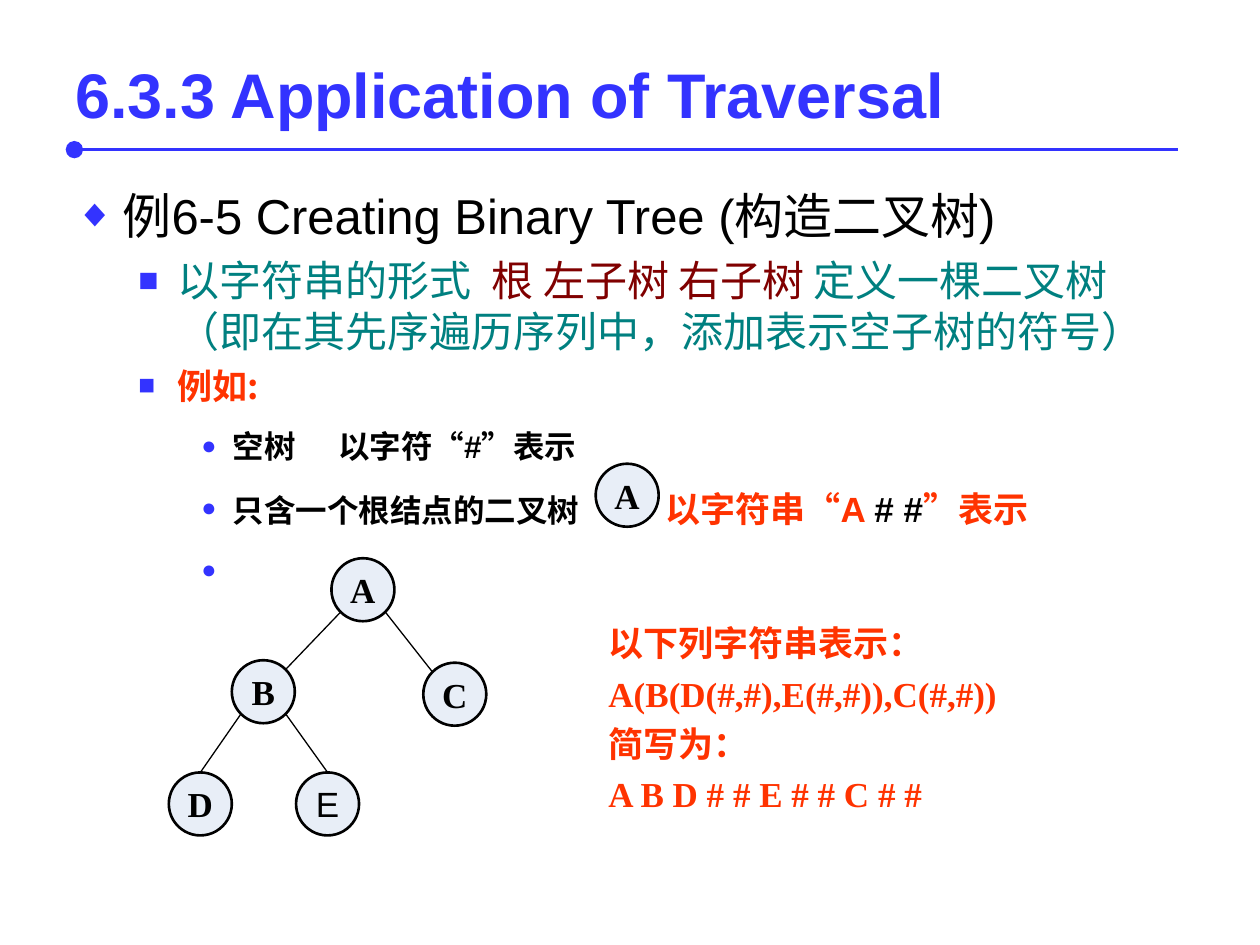
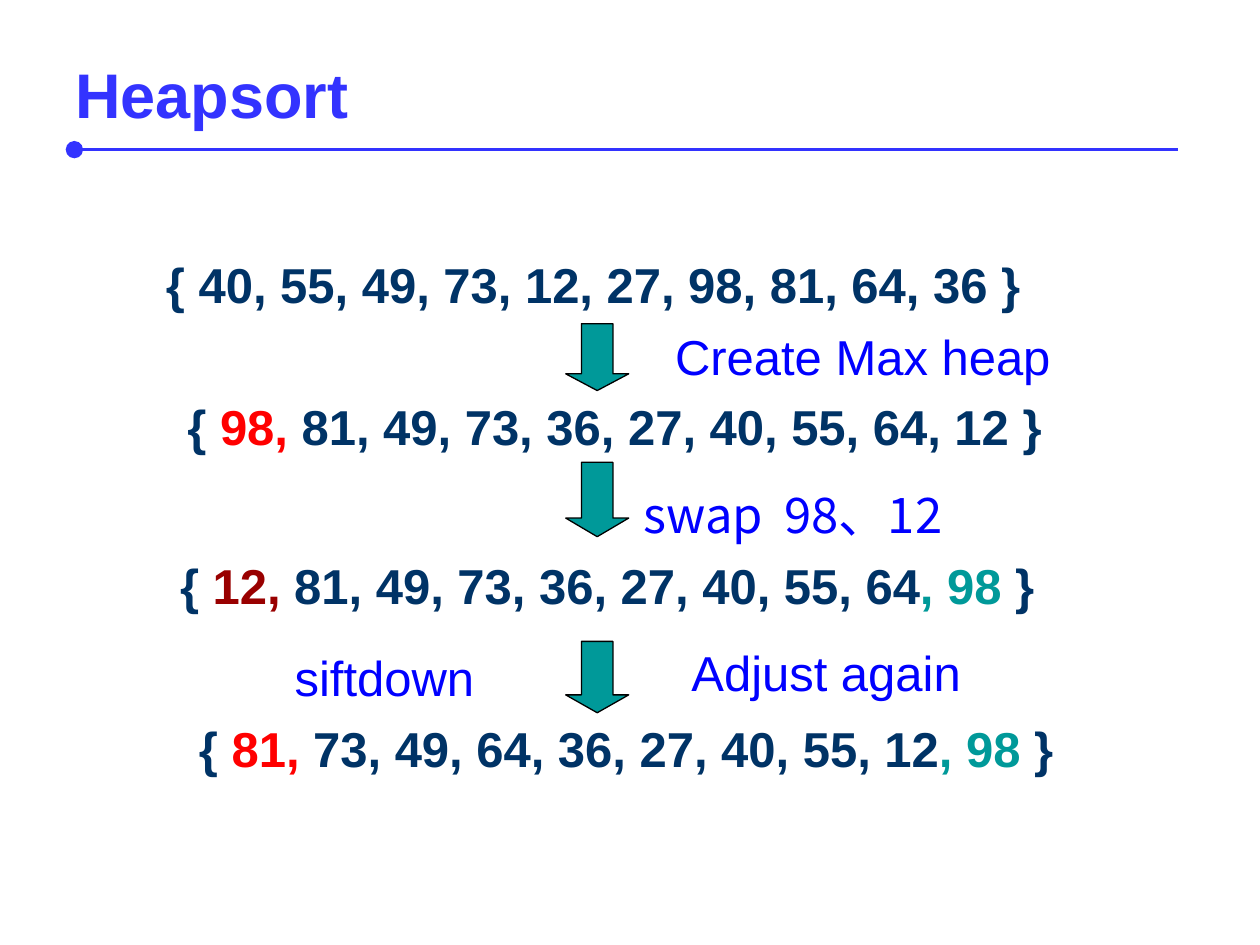
from lxml import etree
from pptx import Presentation
from pptx.dml.color import RGBColor
from pptx.enum import shapes, text
from pptx.oxml import ns
from pptx.util import Pt

ACCENT = RGBColor(0x33, 0x33, 0xFF)
BLUE = RGBColor(0x00, 0x00, 0xFF)
NAVY = RGBColor(0x00, 0x33, 0x66)
TEAL = RGBColor(0x00, 0x80, 0x80)
GREEN = RGBColor(0x00, 0x99, 0x99)
MAROON = RGBColor(0x80, 0x00, 0x00)
DARK_RED = RGBColor(0x99, 0x00, 0x00)
RED = RGBColor(0xFF, 0x00, 0x00)
ORANGE = RGBColor(0xFF, 0x33, 0x00)
PALE = RGBColor(0xE8, 0xEE, 0xF7)
BLACK = RGBColor(0x00, 0x00, 0x00)

SANS, SERIF, CJK = "Arial", "Times New Roman", "Noto Sans CJK SC"
LINE_FACTOR = 1.2
NODE = 36          # diameter of a tree node
RIM = 13           # offset from a node's centre to its diagonal rim

# Bullet level: character, left margin, hanging indent
BULLETS = [("◆", 27, 27), ("■", 58.5, 22.5), ("●", 90, 18)]


def fmt(size, color=BLACK, name=SANS, bold=False, gap=0):
    """Format of a run; gap is extra room after each character, in points."""
    return {"size": Pt(size), "name": name, "bold": bold, "color": color, "gap": gap}


def sub(parent, tag, **attrs):
    return etree.SubElement(parent, ns.qn(tag), {k: str(v) for k, v in attrs.items()})


def add_run(p, words, style):
    r = p.add_run()
    r.text = words
    for key in ("size", "name", "bold"):
        setattr(r.font, key, style[key])
    r.font.color.rgb = style["color"]
    rpr = r.font._element
    sub(rpr, "a:ea", typeface=CJK)
    if style["gap"]:
        rpr.set("spc", str(style["gap"] * 100))


def fill_paragraph(p, runs, factor=LINE_FACTOR):
    p.line_spacing = Pt(round(factor * max(style["size"].pt for _, style in runs), 1))
    for words, style in runs:
        add_run(p, words, style)


def add_text(s, left, top, width, height, paragraphs, factor=LINE_FACTOR,
             anchor=text.MSO_ANCHOR.TOP):
    tf = s.shapes.add_textbox(Pt(left), Pt(top), Pt(width), Pt(height)).text_frame
    tf.word_wrap = True
    tf.vertical_anchor = anchor
    for i, runs in enumerate(paragraphs):
        p = tf.add_paragraph() if i else tf.paragraphs[0]
        fill_paragraph(p, runs, factor)
    return tf


def add_bullet(p, level, space_before):
    char, margin, hanging = BULLETS[level]
    p.level = level
    if space_before:
        p.space_before = Pt(space_before)
    ppr = p._p.get_or_add_pPr()
    ppr.set("marL", str(Pt(margin)))
    ppr.set("indent", str(-Pt(hanging)))
    sub(sub(ppr, "a:buClr"), "a:srgbClr", val=ACCENT)
    sub(ppr, "a:buSzPct", val=80000)
    sub(ppr, "a:buFont", typeface=SANS)
    sub(ppr, "a:buChar", char=char)


def add_line(s, x1, y1, x2, y2, color=BLACK, width=0.75, head=None):
    c = s.shapes.add_connector(shapes.MSO_CONNECTOR.STRAIGHT,
                               Pt(x1), Pt(y1), Pt(x2), Pt(y2))
    c.line.color.rgb = color
    c.line.width = Pt(width)
    if head:
        sub(c.line._ln, "a:headEnd", type=head, w="lg", len="lg")
    sub(c._element.spPr, "a:effectLst")


def add_solid(s, kind, left, top, width, height, fill, line_width):
    sp = s.shapes.add_shape(kind, Pt(left), Pt(top), Pt(width), Pt(height))
    sp.shadow.inherit = False
    sp.fill.solid()
    sp.fill.fore_color.rgb = fill
    sp.line.color.rgb = BLACK
    sp.line.width = Pt(line_width)
    return sp


def add_node(s, cx, cy, label, style):
    sp = add_solid(s, shapes.MSO_SHAPE.OVAL, cx - NODE / 2, cy - NODE / 2,
                   NODE, NODE, PALE, 1.5)
    tf = sp.text_frame
    tf.word_wrap = False
    tf.vertical_anchor = text.MSO_ANCHOR.MIDDLE
    p = tf.paragraphs[0]
    p.alignment = text.PP_ALIGN.CENTER
    fill_paragraph(p, [(label, style)])


def add_down_arrow(s, top, height):
    width = 36
    sp = add_solid(s, shapes.MSO_SHAPE.DOWN_ARROW, 323.3, top, width, height, GREEN, 0.75)
    sp.adjustments[0] = 0.5
    sp.adjustments[1] = 0.25 * height / width


def new_slide(prs, title):
    """Blank slide with the shared rule and title."""
    s = prs.slides.add_slide(prs.slide_layouts[6])
    add_line(s, 42.5, 85.5, 673.2, 85.5, ACCENT, 1.5, head="oval")
    add_text(s, 36, 21.6, 648, 63.4, [[(title, fmt(36, ACCENT, bold=True))]],
             anchor=text.MSO_ANCHOR.MIDDLE)
    return s


def build_tree_slide(prs):
    s = new_slide(prs, "6.3.3 Application of Traversal")

    # Bulleted text: level, space before, runs
    small, strong = fmt(18, bold=True), fmt(20, ORANGE, bold=True)
    heading = fmt(20, ORANGE, CJK, True)
    items = [
        (0, 0, [("例6-5 Creating Binary Tree (构造二叉树)", fmt(28))]),
        (1, 6, [("以字符串的形式", fmt(24, TEAL)), (" ", fmt(24, TEAL, gap=6)),
                ("根 左子树 右子树 ", fmt(24, MAROON)),
                ("定义一棵二叉树（即在其先序遍历序列中，添加表示空子树的符号）", fmt(24, TEAL))]),
        (1, 5, [("例如:", heading)]),
        (2, 12, [("空树", small), (" ", fmt(18, bold=True, gap=20)),
                 ("以字符“#”表示", small)]),
        (2, 12.5, [("只含一个根结点的二叉树", small), (" ", fmt(18, bold=True, gap=45)),
                   ("以字符串", heading), ("“A ", strong), ("# #", fmt(20, bold=True)),
                   ("”", strong), ("表示", heading)]),
        (2, 12.5, [(" ", small)]),
    ]
    tf = add_text(s, 36, 102.5, 648, 380, [runs for _, _, runs in items])
    for p, (level, space, _) in zip(tf.paragraphs, items):
        add_bullet(p, level, space)

    # Single-node tree and the five-node tree
    label = fmt(20, name=SERIF, bold=True)
    add_node(s, 358.4, 283, "A", label)
    nodes = {"A": (207.4, 337), "B": (150.5, 395.3), "C": (259.9, 396.7),
             "D": (114.5, 459.4), "E": (187.2, 459.4)}
    for name, (cx, cy) in nodes.items():
        add_node(s, cx, cy, name, fmt(20) if name == "E" else label)
    # Each edge: parent, child, side, and where it meets the child
    for parent, child, side, rim_x, rim_y in [("A", "B", -1, RIM, RIM), ("A", "C", 1, RIM, RIM),
                                              ("B", "D", -1, 0, NODE / 2),
                                              ("B", "E", 1, 0, NODE / 2)]:
        (px, py), (cx, cy) = nodes[parent], nodes[child]
        add_line(s, px + side * RIM, py + RIM, cx - side * rim_x, cy - rim_y)

    # String forms of the tree
    serif = fmt(20, ORANGE, SERIF, True)
    add_text(s, 340.6, 347, 297.4, 122.4,
             [[("以下列字符串表示：", heading)], [("A(B(D(#,#),E(#,#)),C(#,#))", serif)],
              [("简写为：", heading)], [("A B D # # E # # C # #", serif)]],
             factor=LINE_FACTOR ** 2)


def build_heapsort_slide(prs):
    s = new_slide(prs, "Heapsort")
    height = 41

    # Array after each step: left, top, coloured parts
    arrays = [
        (87.8, 141.8, [("{ 40, 55, 49, 73, 12, 27, 98, 81, 64, 36 }", NAVY)]),
        (100, 223.2, [("{ ", NAVY), ("98,", RED),
                      (" 81, 49, 73, 36, 27, 40, 55, 64, 12 }", NAVY)]),
        (95.8, 313.9, [("{ ", NAVY), ("12,", DARK_RED), (" 81, 49, 73, 36, 27, 40, 55, 64", NAVY),
                       (", 98", GREEN), (" }", NAVY)]),
        (106.6, 406.8, [("{ ", NAVY), ("81,", RED), (" 73, 49, 64, 36, 27, 40, 55, 12", NAVY),
                        (", 98", GREEN), (" }", NAVY)]),
    ]
    for left, top, parts in arrays:
        add_text(s, left, top, 520, height,
                 [[(words, fmt(28, color, bold=True)) for words, color in parts]])

    # Arrows between the steps
    for top, arrow_height in [(185, 38.2), (264.2, 42.5), (366.5, 40.8)]:
        add_down_arrow(s, top, arrow_height)

    # Names of the steps
    plain, cjk = fmt(28, BLUE), fmt(28, BLUE, CJK)
    for left, top, width, runs in [
        (378.7, 182.9, 244.8, [("Create Max heap", plain)]),
        (360.7, 273.6, 243.4, [("swap", cjk), (" ", fmt(28, BLUE, CJK, gap=6)), ("98、12", cjk)]),
        (388, 363.6, 186.5, [("Adjust again", plain)]),
        (161.3, 366.5, 140, [("siftdown", plain)]),
    ]:
        add_text(s, left, top, width, height, [runs])


def main():
    prs = Presentation()
    prs.slide_width, prs.slide_height = Pt(720), Pt(540)
    build_tree_slide(prs)
    build_heapsort_slide(prs)
    prs.save("out.pptx")


if __name__ == "__main__":
    main()
